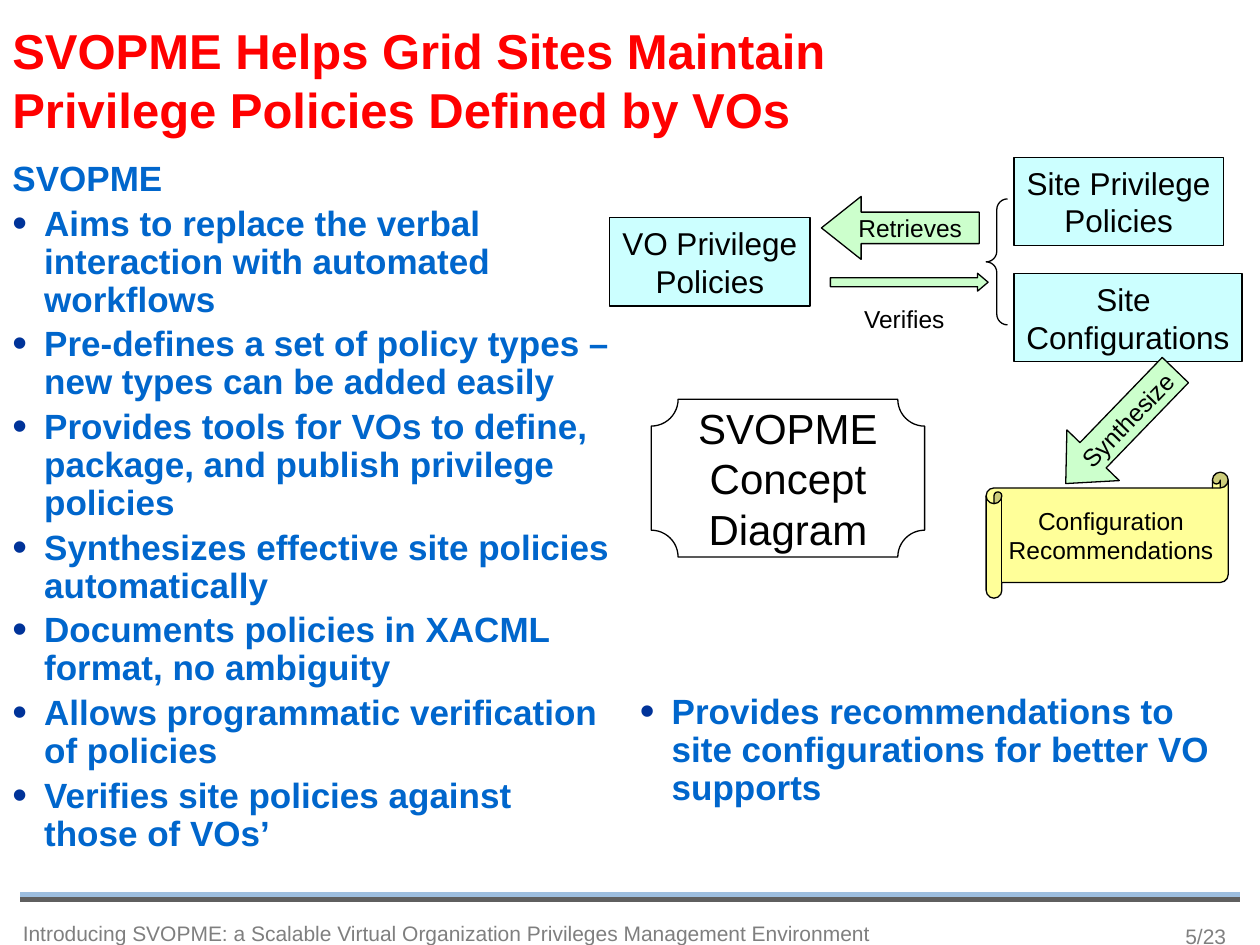
from lxml.etree import SubElement
from pptx import Presentation
from pptx.dml.color import RGBColor
from pptx.enum.shapes import MSO_CONNECTOR as Connector, MSO_SHAPE as Shape
from pptx.enum.text import MSO_ANCHOR as Anchor, MSO_AUTO_SIZE as AutoSize, PP_ALIGN as Align
from pptx.oxml.ns import qn
from pptx.util import Cm, Pt

COLORS = {
    "title": "FF0000", "body": "0066CC", "bullet": "003399", "ink": "000000",
    "policy": "CCFFFF", "arrow": "CCFFCC", "scroll": "FFFF99",
    "rule_light": "9DBEDF", "rule_dark": "5F5F5F",
    "page": "808080", "footer": "7F7F7F",
}
FONT = "Arial"


def color(name):
    return RGBColor.from_string(COLORS[name])


def add_run(paragraph, text, size, ink, bold=False):
    run = paragraph.add_run()
    run.text = text
    font = run.font
    font.name, font.size, font.bold = FONT, Pt(size), bold
    font.color.rgb = color(ink)


def place(shape, box):
    shape.left, shape.top, shape.width, shape.height = (Cm(length) for length in box)


def set_frame(frame, wrap, anchor, side=0.25, edge=0.13):
    frame.word_wrap = wrap
    frame.auto_size = AutoSize.NONE
    frame.vertical_anchor = anchor
    frame.margin_left = frame.margin_right = Cm(side)
    frame.margin_top = frame.margin_bottom = Cm(edge)


def add_paragraphs(frame, texts, size, ink, align):
    """Write one paragraph per text; a newline becomes a line break."""
    for index, text in enumerate(texts):
        paragraph = frame.add_paragraph() if index else frame.paragraphs[0]
        paragraph.alignment = align
        for number, line in enumerate(text.split("\n")):
            if number:
                paragraph.add_line_break()
            add_run(paragraph, line, size, ink)


def add_label(slide, box, text, size, ink, align=Align.LEFT, wrap=False):
    label = slide.shapes.add_textbox(*(Cm(length) for length in box))
    set_frame(label.text_frame, wrap, Anchor.TOP)
    add_paragraphs(label.text_frame, [text], size, ink, align)
    return label


def fill_title(title, box):
    place(title, box)
    set_frame(title.text_frame, True, Anchor.MIDDLE, edge=0)
    paragraph = title.text_frame.paragraphs[0]
    paragraph.alignment = Align.LEFT
    add_run(paragraph, "SVOPME Helps Grid Sites Maintain Privilege Policies Defined by VOs",
            28, "title", True)


def set_bullet(paragraph, shown):
    properties = paragraph._p.get_or_add_pPr()
    properties.set("marL", str(Cm(0.64)))
    properties.set("indent", str(-Cm(0.64)))
    if not shown:
        SubElement(properties, qn("a:buNone"))
        return
    bullet_color = SubElement(properties, qn("a:buClr"))
    SubElement(bullet_color, qn("a:srgbClr"), val=COLORS["bullet"])
    SubElement(properties, qn("a:buSzPct"), val="120000")
    SubElement(properties, qn("a:buFont"), typeface=FONT)
    SubElement(properties, qn("a:buChar"), char="•")


def fill_list(body, box, items, heading=None):
    place(body, box)
    frame = body.text_frame
    set_frame(frame, True, Anchor.TOP)
    texts = [heading, *items] if heading else items
    for index, text in enumerate(texts):
        paragraph = frame.add_paragraph() if index else frame.paragraphs[0]
        paragraph.alignment = Align.LEFT
        paragraph.line_spacing = 0.9
        paragraph.space_before = Pt(4.1 if index else 0)
        set_bullet(paragraph, text != heading)
        add_run(paragraph, text, 20, "body", True)


def add_diagram(slide, left, top):
    def add_node(kind, box, fill=None, texts=(), size=14, anchor=Anchor.MIDDLE,
                 adjustments=(), rotation=0):
        x, y, width, height = box
        node = slide.shapes.add_shape(kind, Cm(left + x), Cm(top + y), Cm(width), Cm(height))
        node.shadow.inherit = False
        node.rotation = rotation
        for index, value in enumerate(adjustments):
            node.adjustments[index] = value
        if fill:
            node.fill.solid()
            node.fill.fore_color.rgb = color(fill)
        else:
            node.fill.background()
        node.line.color.rgb = color("ink")
        node.line.width = Pt(0.75)
        set_frame(node.text_frame, False, anchor)
        add_paragraphs(node.text_frame, texts, size, "ink", Align.CENTER)

    policies = [
        ((0, 1.22, 4.04, 1.78), "VO Privilege\nPolicies"),
        ((8.15, 0, 4.22, 1.78), "Site Privilege\nPolicies"),
        ((8.15, 2.34, 4.6, 1.78), "Site \nConfigurations"),
    ]
    for box, text in policies:
        add_node(Shape.RECTANGLE, box, "policy", [text], 18, Anchor.TOP)

    add_node(Shape.HORIZONTAL_SCROLL, (7.59, 6.35, 4.88, 2.54), "scroll",
             ["Configuration\nRecommendations"], adjustments=[0.125])
    add_node(Shape.LEFT_BRACE, (7.59, 0.84, 0.43, 2.54), adjustments=[0.5, 0.5])
    add_node(Shape.RIGHT_ARROW, (4.45, 2.34, 3.18, 0.36), "arrow", adjustments=[0.5, 0.59])
    add_node(Shape.LEFT_ARROW, (4.27, 0.79, 3.18, 1.27), "arrow", ["Retrieves"],
             adjustments=[0.5, 0.63])
    add_node(Shape.LEFT_ARROW, (8.71, 4.7, 3.18, 1.47), "arrow", ["Synthesize"],
             adjustments=[0.5, 0.54], rotation=314)
    add_node(Shape.PLAQUE, (0.84, 4.88, 5.51, 3.18), None, ["SVOPME\nConcept", "Diagram"], 24,
             adjustments=[0.17])
    add_label(slide, (left + 4.88, top + 2.82, 2.16, 0.86), "Verifies", 14, "ink")


def add_footer(slide, left, top, width):
    for offset, ink in ((0, "rule_light"), (0.1, "rule_dark")):
        y = Cm(top + offset)
        rule = slide.shapes.add_connector(Connector.STRAIGHT, Cm(left), y, Cm(left + width), y)
        rule.line.color.rgb = color(ink)
        rule.line.width = Pt(3)
        SubElement(rule._element.spPr, qn("a:effectLst"))
    labels = [
        ((left + width - 5.94, top + 0.18, 5.92, 1.12), "5/23", "page", Align.RIGHT),
        ((left - 0.2, top + 0.13, 20.75, 1.12),
         "Introducing SVOPME: a Scalable Virtual Organization Privileges Management Environment",
         "footer", Align.LEFT),
    ]
    for box, text, ink, align in labels:
        label = add_label(slide, box, text, 12, ink, align, wrap=True)
        label.text_frame.paragraphs[0].line_spacing = 1.54


def main():
    presentation = Presentation()
    presentation.slide_width, presentation.slide_height = Cm(25.4), Cm(19.05)
    slide = presentation.slides.add_slide(presentation.slide_layouts.get_by_name("Two Content"))
    title, main_list, side_list = slide.placeholders

    add_footer(slide, 0.41, 18.03, 24.58)
    fill_title(title, (0, 0.41, 17.58, 2.39))
    fill_list(main_list, (0, 3.12, 12.62, 14.38), [
        "Aims to replace the verbal interaction with automated workflows",
        "Pre-defines a set of policy types – new types can be added easily",
        "Provides tools for VOs to define, package, and publish privilege policies",
        "Synthesizes effective site policies automatically",
        "Documents policies in XACML format, no ambiguity",
        "Allows programmatic verification of policies",
        "Verifies site policies against those of VOs’",
    ], heading="SVOPME")
    fill_list(side_list, (12.65, 13.87, 12.52, 3.66), [
        "Provides recommendations to site configurations for better VO supports",
    ])
    add_diagram(slide, 12.29, 3.17)
    presentation.save("out.pptx")


if __name__ == "__main__":
    main()
